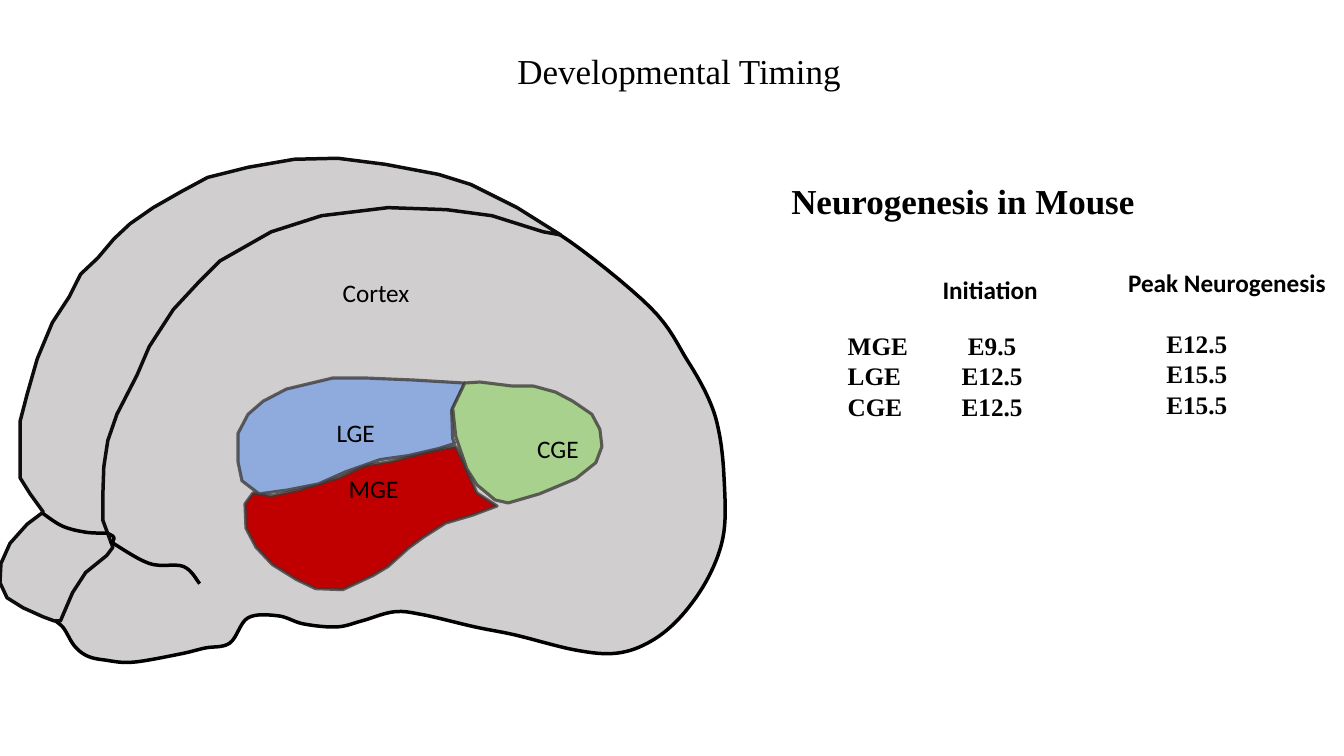
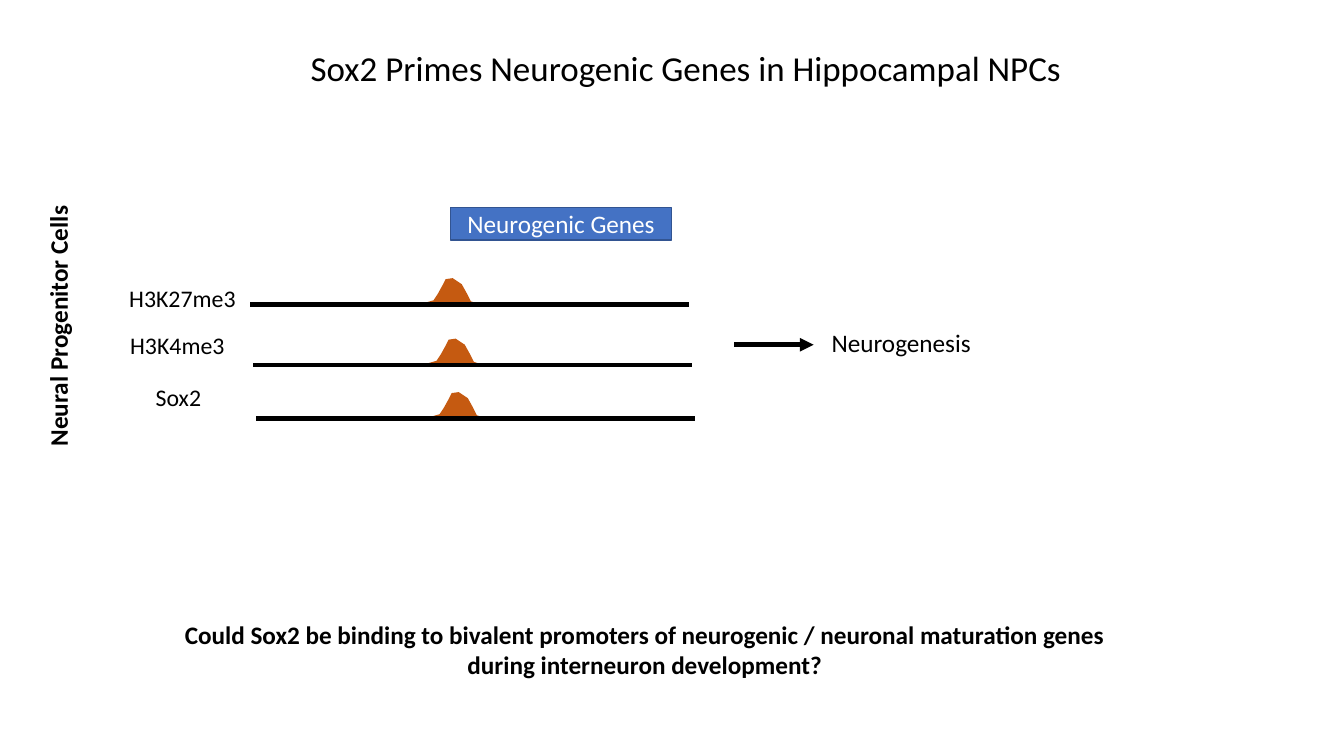
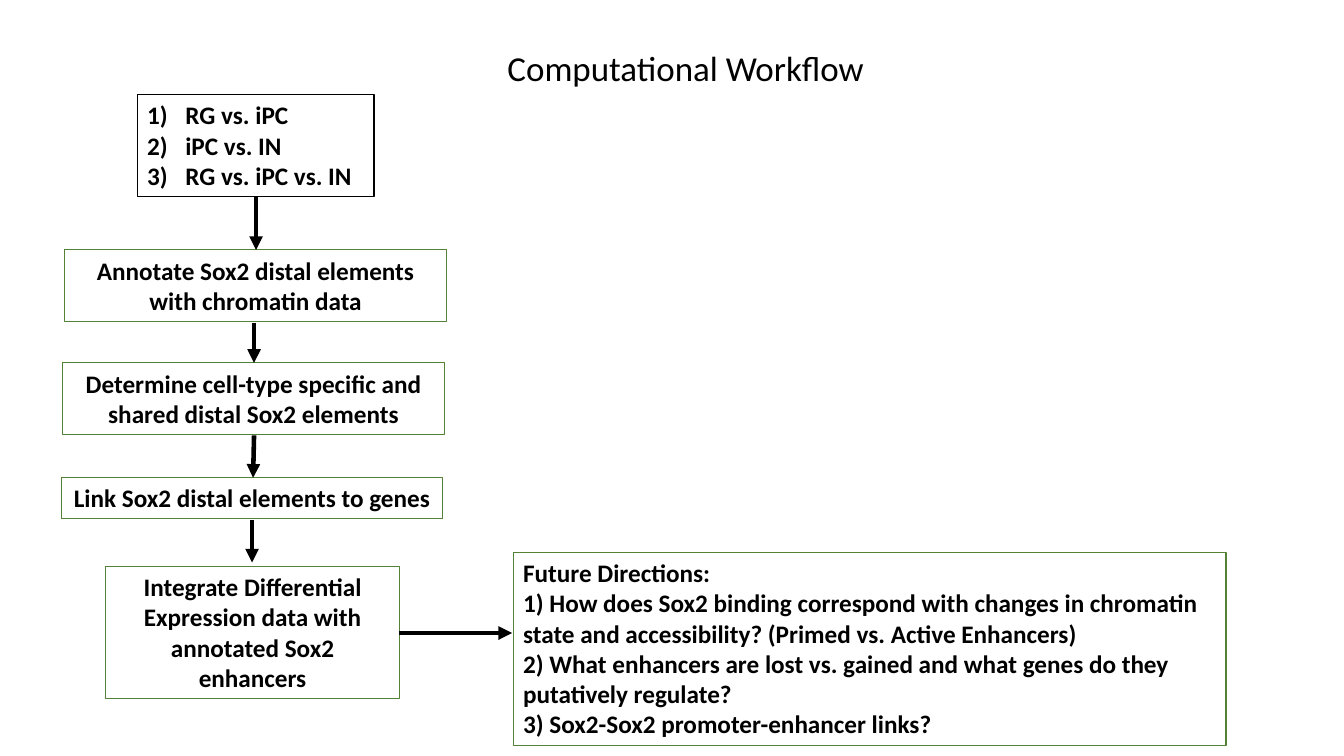
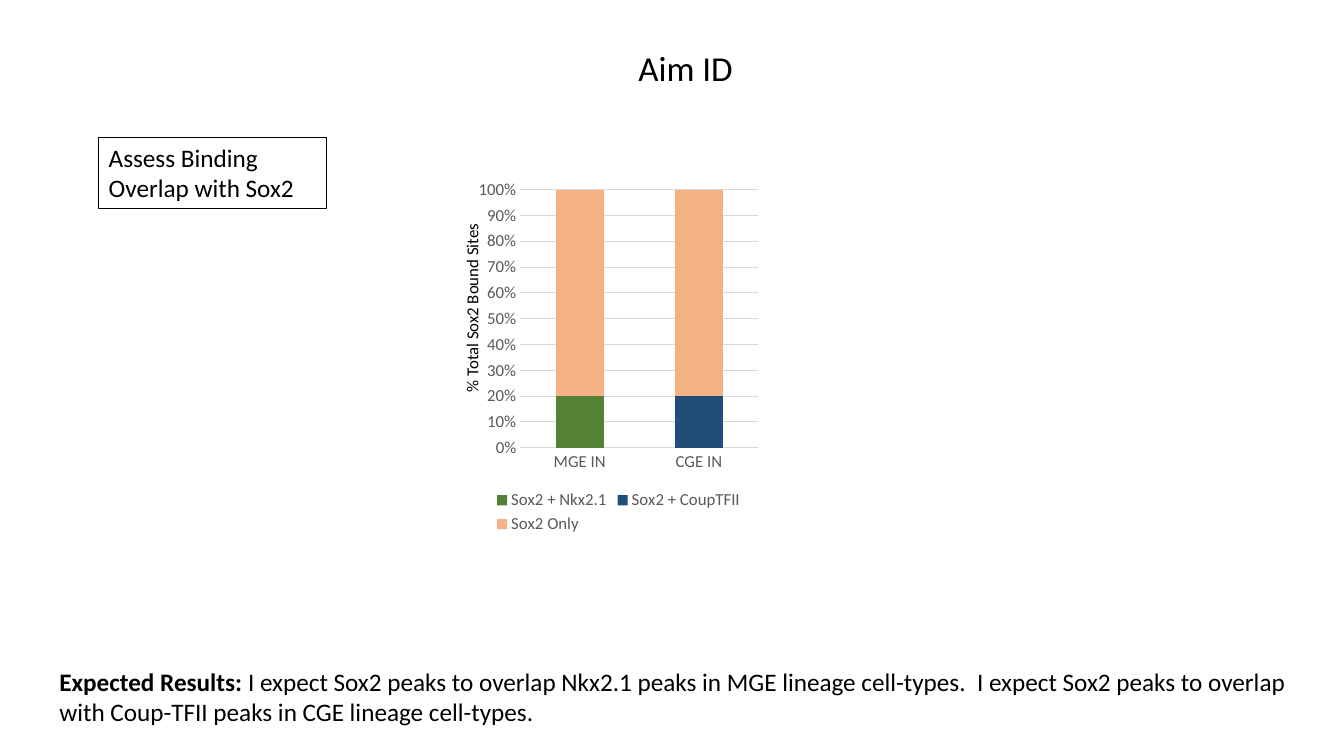
from lxml import etree
from pptx import Presentation
from pptx.chart.data import CategoryChartData
from pptx.dml.color import RGBColor
from pptx.enum.chart import XL_CHART_TYPE, XL_LEGEND_POSITION, XL_TICK_MARK
from pptx.enum.shapes import MSO_CONNECTOR, MSO_SHAPE
from pptx.enum.text import MSO_ANCHOR, PP_ALIGN
from pptx.oxml.ns import qn
from pptx.util import Inches, Pt

COLORS = {
    name: RGBColor.from_string(value)
    for name, value in {
        "black": "000000", "white": "FFFFFF", "ink": "0D0D0D",
        "tissue": "D0CECE", "region_edge": "3B3838",
        "mge": "C00000", "lge": "8FAADC", "cge": "A9D18E",
        "gene": "4472C4", "gene_edge": "325491", "peak": "C55A11",
        "green": "548235", "navy": "1F4E79", "peach": "F4B183",
        "axis_text": "595959", "grid": "D9D9D9",
    }.items()
}
SERIF = "Times New Roman"


def add_text(slide, box, paragraphs, size=18, font="Calibri", color="black", bold=False,
             align=PP_ALIGN.LEFT, anchor=MSO_ANCHOR.TOP, rotation=0, spacing=None,
             fill=None, line=None, line_width=0.75, numbered=False, lead=None):
    """Add paragraphs in a text box, or in a rectangle when a line colour is given.

    lead is bold text that opens the first paragraph.
    """
    place = [Inches(value) for value in box]
    if line:
        shape = slide.shapes.add_shape(MSO_SHAPE.RECTANGLE, *place)
        shape.shadow.inherit = False
        shape.line.color.rgb = COLORS[line]
        shape.line.width = Pt(line_width)
        if fill:
            shape.fill.solid()
            shape.fill.fore_color.rgb = COLORS[fill]
        else:
            shape.fill.background()
    else:
        shape = slide.shapes.add_textbox(*place)
    shape.rotation = rotation
    frame = shape.text_frame
    frame.word_wrap = True
    frame.vertical_anchor = anchor
    for index, text in enumerate(paragraphs):
        paragraph = frame.add_paragraph() if index else frame.paragraphs[0]
        paragraph.alignment = align
        paragraph.line_spacing = spacing
        if numbered:
            properties = paragraph._p.get_or_add_pPr()
            properties.set("marL", str(Inches(0.38)))
            properties.set("indent", str(-Inches(0.38)))
            etree.SubElement(properties, qn("a:buFont"), typeface="+mj-lt")
            etree.SubElement(properties, qn("a:buAutoNum"), type="arabicParenR")
        pieces = [(text, bold)]
        if lead and index == 0:
            pieces.insert(0, (lead, True))
        for piece, weight in pieces:
            run = paragraph.add_run()
            run.text = piece
            run.font.size = Pt(size)
            run.font.name = font
            run.font.bold = weight
            run.font.color.rgb = COLORS[color]


def add_outline(slide, points, fill=None, line=None, width=2.5, opacity=100, curved=False):
    """Draw a freeform, closed when filled; curved runs a Catmull-Rom curve through the points."""
    if curved:
        steps, count, smooth = 8, len(points), []
        for i in range(count if fill else count - 1):
            near = [i - 1, i, i + 1, i + 2]
            near = [n % count if fill else min(max(n, 0), count - 1) for n in near]
            corners = [points[n] for n in near]
            for step in range(steps):
                t = step / steps
                smooth.append([
                    b + t * (c - a) / 2
                    + t ** 2 * (2 * a - 5 * b + 4 * c - d) / 2
                    + t ** 3 * (3 * b - a - 3 * c + d) / 2
                    for a, b, c, d in zip(*corners)
                ])
        points = smooth + [points[0] if fill else points[-1]]
    vertices = [(Inches(x), Inches(y)) for x, y in points]
    builder = slide.shapes.build_freeform(*vertices[0])
    builder.add_line_segments(vertices[1:], close=bool(fill))
    shape = builder.convert_to_shape()
    shape.shadow.inherit = False
    if fill:
        shape.fill.solid()
        shape.fill.fore_color.rgb = COLORS[fill]
    else:
        shape.fill.background()
    if line:
        shape.line.color.rgb = COLORS[line]
        shape.line.width = Pt(width)
        if opacity < 100:
            color = shape.element.spPr.find(f"{qn('a:ln')}/{qn('a:solidFill')}/{qn('a:srgbClr')}")
            etree.SubElement(color, qn("a:alpha"), val=str(opacity * 1000))
    else:
        shape.line.fill.background()


presentation = Presentation()
presentation.slide_width = Inches(13.33)
presentation.slide_height = Inches(7.5)
timing, priming, workflow, aim = [
    presentation.slides.add_slide(presentation.slide_layouts[6]) for _ in range(4)
]
for slide, title in [
    (priming, "Sox2 Primes Neurogenic Genes in Hippocampal NPCs"),
    (workflow, "Computational Workflow"),
    (aim, "Aim ID"),
]:
    add_text(slide, (0.61, 0.41, 12.38, 0.52), [title], size=25, align=PP_ALIGN.CENTER)

# Slide 1: brain drawing and timing of neurogenesis
near_hemisphere = [
    (1.12, 5.37), (0.76, 5.67), (0.66, 5.86), (0.57, 6.02), (0.53, 6.13), (0.63, 6.23),
    (0.74, 6.41), (0.87, 6.51), (1.05, 6.55), (1.32, 6.57), (1.78, 6.49), (2.03, 6.43),
    (2.28, 6.38), (2.46, 6.13), (2.76, 6.11), (3.01, 6.19), (3.34, 6.22), (3.59, 6.16),
    (3.91, 6.07), (4.2, 6.1), (4.71, 6.22), (5.11, 6.3), (5.71, 6.45), (6.12, 6.48),
    (6.46, 6.36), (6.76, 6.11), (7.03, 5.72), (7.18, 5.28), (7.18, 4.71), (7.13, 4.28),
    (7.03, 3.96), (6.82, 3.58), (6.45, 3.05), (5.57, 2.34), (5.08, 2.16), (4.34, 2.02),
    (3.94, 1.99), (3.37, 2), (2.76, 2.19), (2.33, 2.4), (1.93, 2.73), (1.62, 3.1),
    (1.37, 3.48), (1.15, 3.93), (1.02, 4.31), (0.95, 4.62), (0.93, 4.85), (0.96, 5.07),
    (1.03, 5.26),
]
far_hemisphere = [
    (5.56, 2.33), (5.13, 2.06), (4.91, 1.95), (4.67, 1.83), (4.35, 1.73), (3.82, 1.63),
    (3.35, 1.57), (2.92, 1.58), (2.46, 1.66), (2.06, 1.76), (1.8, 1.9), (1.52, 2.06),
    (1.29, 2.22), (1.13, 2.37), (0.97, 2.56), (0.8, 2.72), (0.69, 2.94), (0.52, 3.2),
    (0.37, 3.56), (0.27, 3.91), (0.2, 4.18), (0.2, 4.74), (0.3, 4.9), (0.43, 5.08),
    (0.27, 5.2), (0.1, 5.39), (0.01, 5.59), (0, 5.78), (0.07, 5.93), (0.23, 6.03),
    (0.43, 6.12), (0.54, 6.16), (0.6, 6.16), (0.72, 5.88), (0.85, 5.68), (1.06, 5.51),
    (1.12, 5.43), (1.02, 5.16), (1.02, 4.93), (1.03, 4.63), (1.07, 4.37), (1.16, 4.11),
    (1.36, 3.72), (1.48, 3.44), (1.72, 3.07), (1.98, 2.79), (2.18, 2.59), (2.69, 2.3),
    (3.19, 2.14), (3.85, 2.06), (4.43, 2.08), (4.88, 2.14), (5.23, 2.25), (5.39, 2.3),
]
lower_fold = [(1.09, 5.37), (1.48, 5.59), (1.82, 5.62), (1.98, 5.79)]
upper_fold = [(0.42, 5.09), (0.62, 5.22), (0.85, 5.28), (1.06, 5.29)]
add_outline(timing, near_hemisphere, fill="tissue", line="black", curved=True)
add_outline(timing, far_hemisphere, fill="tissue", line="ink")
for fold in (lower_fold, upper_fold):
    add_outline(timing, fold, line="black", curved=True)

eminences = {
    "mge": [
        (2.51, 4.89), (2.43, 5), (2.44, 5.24), (2.54, 5.43), (2.7, 5.6), (2.94, 5.75),
        (3.13, 5.84), (3.4, 5.85), (3.7, 5.71), (3.85, 5.62), (4.05, 5.44), (4.2, 5.33),
        (4.42, 5.19), (4.69, 5.11), (4.93, 5.02), (4.73, 4.89), (4.59, 4.58), (4.52, 4.43),
        (4.26, 4.48), (3.87, 4.58), (3.62, 4.62), (3.36, 4.74), (2.97, 4.86), (2.69, 4.92),
    ],
    "lge": [
        (4.61, 3.8), (4.1, 3.77), (3.63, 3.75), (3.3, 3.75), (2.84, 3.86), (2.61, 3.98),
        (2.46, 4.11), (2.36, 4.3), (2.36, 4.58), (2.4, 4.77), (2.57, 4.9), (2.86, 4.86),
        (3.16, 4.8), (3.43, 4.68), (3.77, 4.56), (4.05, 4.52), (4.35, 4.45), (4.51, 4.4),
        (4.49, 4.35), (4.48, 4.07),
    ],
    "cge": [
        (4.61, 3.8), (4.49, 4.05), (4.52, 4.33), (4.63, 4.65), (4.73, 4.81), (4.91, 4.96),
        (5.04, 4.99), (5.35, 4.9), (5.71, 4.75), (5.91, 4.59), (5.97, 4.43), (5.95, 4.26),
        (5.87, 4.11), (5.68, 3.98), (5.51, 3.89), (5.29, 3.83), (5.08, 3.83), (4.76, 3.79),
    ],
}
for region, points in eminences.items():
    add_outline(timing, points, fill=region, line="region_edge", width=2.25, opacity=76)
for label, left, top in [
    ("CGE", 5.23, 4.25), ("LGE", 3.24, 4.09), ("MGE", 3.36, 4.65), ("Cortex", 3.3, 2.7),
]:
    add_text(timing, (left, top, 1.2, 0.4), [label])

add_text(timing, (0.92, 0, 11.63, 1.45), ["Developmental Timing"], size=25, font=SERIF,
         align=PP_ALIGN.CENTER, anchor=MSO_ANCHOR.MIDDLE, spacing=0.9)
add_text(timing, (7.75, 1.73, 4.8, 0.52), ["Neurogenesis in Mouse"], size=25, font=SERIF, bold=True)
add_text(timing, (9.25, 2.67, 1.26, 0.4), ["Initiation"], bold=True)
add_text(timing, (11.09, 2.6, 2.24, 0.4), ["Peak Neurogenesis"], bold=True)
for left, top, align, entries in [
    (8.31, 3.23, PP_ALIGN.LEFT, ["MGE", "LGE", "CGE"]),
    (9.31, 3.23, PP_ALIGN.CENTER, ["E9.5", "E12.5", "E12.5"]),
    (11.34, 3.21, PP_ALIGN.CENTER, ["E12.5", "E15.5", "E15.5"]),
]:
    add_text(timing, (left, top, 1.06, 1.01), entries, font=SERIF, bold=True, align=align)

# Slide 2: binding tracks, with each peak placed from the start of its baseline
lines = []  # slide, start, end, arrowhead
peak_profile = [
    (1.21, -0.01), (1.28, 0.01), (1.68, 0), (1.82, -0.04), (1.86, -0.1), (1.91, -0.19),
    (1.94, -0.25), (2.01, -0.26), (2.1, -0.2), (2.15, -0.11), (2.19, -0.03), (2.31, 0.01),
]
add_text(priming, (4.47, 2.06, 2.19, 0.32), ["Neurogenic Genes"], color="white", fill="gene",
         line="gene_edge", line_width=1, align=PP_ALIGN.CENTER, anchor=MSO_ANCHOR.MIDDLE)
for label, label_left, label_top, start, base in [
    ("H3K27me3", 1.13, 2.77, 2.48, 3.02),
    ("H3K4me3", 1.08, 3.23, 2.51, 3.62),
    ("Sox2", 1.09, 3.75, 2.54, 4.15),
]:
    add_outline(priming, [(start + x, base + y) for x, y in peak_profile], fill="peak")
    add_text(priming, (label_left, label_top, 1.36, 0.39), [label], size=17, align=PP_ALIGN.CENTER)
    lines.append((priming, (start, base), (start + 4.35, base), False))
lines.append((priming, (7.28, 3.42), (8.07, 3.42), True))
add_text(priming, (-0.72, 3.03, 2.59, 0.4), ["Neural Progenitor Cells"], bold=True, rotation=270)
add_text(priming, (8.15, 3.2, 1.73, 0.4), ["Neurogenesis"])
add_text(priming, (1.4, 6.09, 9.99, 0.71),
         ["Could Sox2 be binding to bivalent promoters of neurogenic / neuronal maturation genes "
          "during interneuron development?"], bold=True, align=PP_ALIGN.CENTER)

# Slide 3: workflow
for box, step in [
    ((0.64, 2.48, 3.79, 0.71), "Annotate Sox2 distal elements with chromatin data"),
    ((0.62, 3.6, 3.79, 0.71), "Determine cell-type specific and shared distal Sox2 elements"),
    ((0.61, 4.74, 3.78, 0.4), "Link Sox2 distal elements to genes"),
    ((1.05, 5.62, 2.91, 1.31),
     "Integrate Differential Expression data with annotated Sox2 enhancers"),
]:
    add_text(workflow, box, [step], bold=True, line="green", align=PP_ALIGN.CENTER)
add_text(workflow, (1.36, 0.94, 2.35, 1.01), ["RG vs. iPC", "iPC vs. IN", "RG vs. iPC vs. IN"],
         bold=True, line="black", numbered=True)
add_text(workflow, (5.09, 5.48, 7.07, 1.92), [
    "Future Directions:",
    "1) How does Sox2 binding correspond with changes in chromatin state and accessibility? "
    "(Primed vs. Active Enhancers)",
    "2) What enhancers are lost vs. gained and what genes do they putatively regulate?",
    "3) Sox2-Sox2 promoter-enhancer links?",
], bold=True, line="green")
for start, end in [
    ((2.54, 1.95), (2.54, 2.48)),
    ((2.52, 3.2), (2.52, 3.6)),
    ((2.52, 4.32), (2.51, 4.74)),
    ((2.5, 5.16), (2.5, 5.58)),
    ((3.96, 6.28), (5.08, 6.28)),
]:
    lines.append((workflow, start, end, True))

# Lines and arrows of slides 2 and 3
for slide, start, end, arrowhead in lines:
    connector = slide.shapes.add_connector(
        MSO_CONNECTOR.STRAIGHT, *[Inches(value) for value in start + end])
    connector.line.color.rgb = COLORS["black"]
    connector.line.width = Pt(3.25)
    properties = connector.element.spPr
    if arrowhead:
        etree.SubElement(properties.find(qn("a:ln")), qn("a:tailEnd"), type="triangle")
    etree.SubElement(properties, qn("a:effectLst"))

# Slide 4: expected overlap
add_text(aim, (0.49, 6.56, 12.61, 0.71),
         ["I expect Sox2 peaks to overlap Nkx2.1 peaks in MGE lineage cell-types.  I expect Sox2 "
          "peaks to overlap with Coup-TFII peaks in CGE lineage cell-types."],
         lead="Expected Results: ")
add_text(aim, (0.98, 1.36, 2.26, 0.71), ["Assess Binding Overlap with Sox2"], line="black")

overlap = [
    ("Sox2 + Nkx2.1", (20, 0), "green"),
    ("Sox2 + CoupTFII", (0, 20), "navy"),
    ("Sox2 Only", (80, 80), "peach"),
]
data = CategoryChartData()
data.categories = ["MGE IN", "CGE IN"]
for name, values, _ in overlap:
    data.add_series(name, values)
chart = aim.shapes.add_chart(XL_CHART_TYPE.COLUMN_STACKED_100, Inches(4.69), Inches(1.71),
                             Inches(2.89), Inches(3.63), data).chart
chart.has_title = False
chart.has_legend = True
chart.legend.position = XL_LEGEND_POSITION.BOTTOM
chart.legend.include_in_layout = False
plot = chart.plots[0]
plot.gap_width = 150
plot.overlap = 100
plot.vary_by_categories = False
for series, (_, _, color) in zip(plot.series, overlap):
    series.format.fill.solid()
    series.format.fill.fore_color.rgb = COLORS[color]
category_axis, value_axis = chart.category_axis, chart.value_axis
for axis in (category_axis, value_axis):
    axis.major_tick_mark = XL_TICK_MARK.NONE
    axis.minor_tick_mark = XL_TICK_MARK.NONE
for font in (chart.font, chart.legend.font, category_axis.tick_labels.font,
             value_axis.tick_labels.font):
    font.name = "Calibri"
    font.size = Pt(12)
    font.color.rgb = COLORS["axis_text"]
value_axis.tick_labels.number_format = "0%"
value_axis.tick_labels.number_format_is_linked = False
value_axis.has_major_gridlines = True
value_axis.format.line.fill.background()
for rule in (category_axis.format.line, value_axis.major_gridlines.format.line):
    rule.color.rgb = COLORS["grid"]
    rule.width = Pt(0.75)
add_text(aim, (3.67, 2.83, 2.02, 0.3), ["% Total Sox2 Bound Sites"], size=12, rotation=270)

presentation.save("out.pptx")
